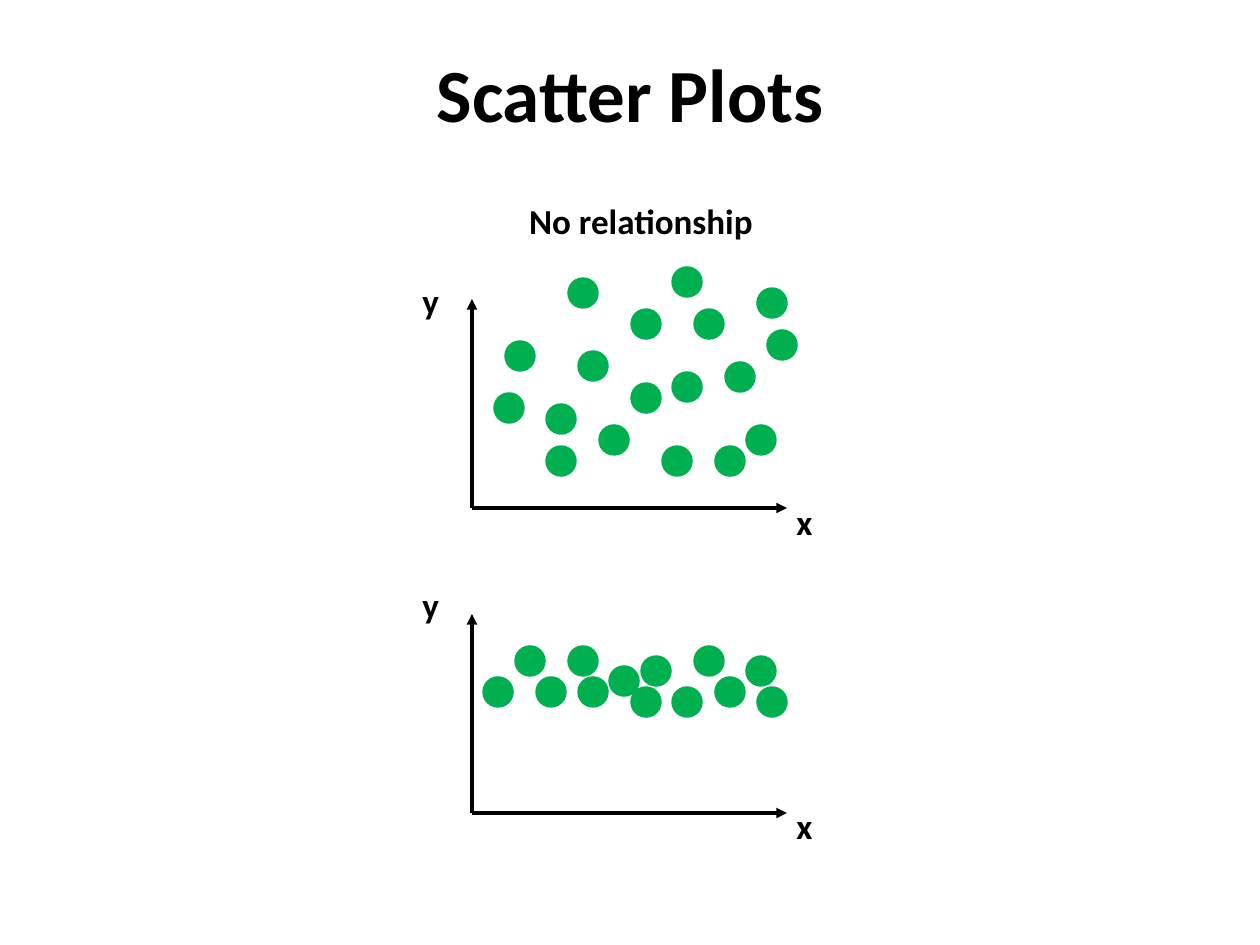
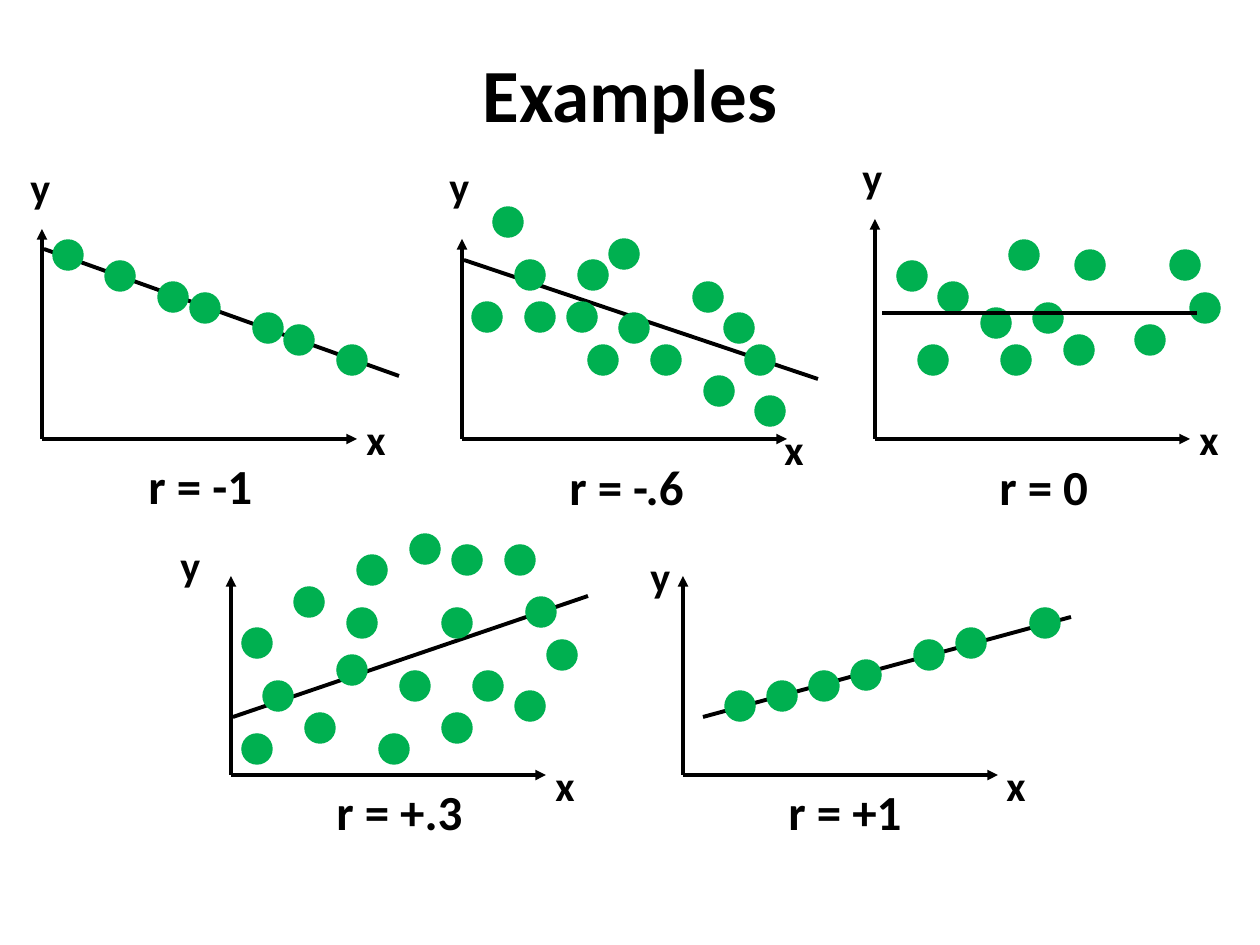
from dataclasses import dataclass

from lxml import etree
from pptx import Presentation
from pptx.dml.color import RGBColor
from pptx.enum import shapes, text
from pptx.oxml import ns
from pptx.util import Emu, Pt

PIXEL = 914400 / 126


@dataclass(frozen=True)
class Theme:
    font: str = "Calibri"
    ink: RGBColor = RGBColor(0, 0, 0)
    dot: RGBColor = RGBColor(0x00, 0xB0, 0x50)
    title_size: float = 42.9
    heading_size: float = 20
    caption_size: float = 28
    axis_width: float = 2
    trend_width: float = 2.25
    dot_size: float = 31.5


THEME = Theme()


@dataclass(frozen=True)
class Plot:
    """A scatter plot; everything is measured from the top left of its axes.

    The x label is measured from the right end of the x axis instead.
    """
    box: tuple
    dots: list
    y_label: tuple
    x_label: tuple
    label_size: float = 24
    trend: tuple = ()
    trend_width: float = THEME.trend_width
    trend_on_top: bool = False
    caption: str = ""
    caption_box: tuple = ()


def px(value):
    return Emu(round(value * PIXEL))


def style(paragraph, size):
    font = paragraph.font
    font.name, font.size, font.bold = THEME.font, Pt(size), True
    font.color.rgb = THEME.ink


def add_label(slide, words, box, size, centred=False):
    frame = slide.shapes.add_textbox(*map(px, box)).text_frame
    frame.word_wrap = centred
    paragraph = frame.paragraphs[0]
    paragraph.text = words
    if centred:
        paragraph.alignment = text.PP_ALIGN.CENTER
    style(paragraph, size)


def add_line(slide, start, end, width, arrow=False):
    line = slide.shapes.add_connector(
        shapes.MSO_CONNECTOR.STRAIGHT, *map(px, (*start, *end)))
    line.line.color.rgb = THEME.ink
    line.line.width = Pt(width)
    if arrow:
        etree.SubElement(line.line._get_or_add_ln(), ns.qn("a:tailEnd"), type="triangle")
    properties = line._element.spPr
    etree.SubElement(properties, ns.qn("a:effectLst"))


def add_dot(slide, x, y):
    size = THEME.dot_size
    dot = slide.shapes.add_shape(
        shapes.MSO_SHAPE.OVAL, px(x - size / 2), px(y - size / 2), px(size), px(size))
    dot.shadow.inherit = False
    dot.fill.solid()
    dot.fill.fore_color.rgb = THEME.dot
    dot.line.fill.background()


def add_plot(slide, plot):
    left, top, width, height = plot.box
    right, bottom = left + width, top + height

    def place(point):
        return left + point[0], top + point[1]

    def draw_trend():
        add_line(slide, place(plot.trend[:2]), place(plot.trend[2:]), plot.trend_width)

    # Axes
    add_line(slide, (left, bottom), (left, top), THEME.axis_width, arrow=True)
    add_line(slide, (left, bottom), (right, bottom), THEME.axis_width, arrow=True)

    # Points and trend line
    if plot.trend and not plot.trend_on_top:
        draw_trend()
    for dot in plot.dots:
        add_dot(slide, *place(dot))
    if plot.trend_on_top:
        draw_trend()

    # Labels
    label = (45, 54) if plot.label_size == THEME.heading_size else (49, 63)
    add_label(slide, "y", (*place(plot.y_label), *label), plot.label_size)
    x_place = right + plot.x_label[0], bottom + plot.x_label[1]
    add_label(slide, "x", (*x_place, *label), plot.label_size)
    if plot.caption:
        x, y, caption_width = plot.caption_box
        add_label(slide, plot.caption, (*place((x, y)), caption_width, 72),
                  THEME.caption_size)


def add_slide(presentation, title, plots):
    slide = presentation.slides.add_slide(presentation.slide_layouts[5])
    shape = slide.shapes.title
    shape.left, shape.top, shape.width, shape.height = map(px, (63, 38, 1134, 157))
    frame = shape.text_frame
    frame.auto_size = text.MSO_AUTO_SIZE.NONE
    frame.vertical_anchor = text.MSO_ANCHOR.TOP
    frame.margin_top = px(9)
    paragraph = frame.paragraphs[0]
    paragraph.text = title
    paragraph.alignment = text.PP_ALIGN.CENTER
    style(paragraph, THEME.title_size)
    for plot in plots:
        add_plot(slide, plot)
    return slide


NO_RELATIONSHIP = [
    Plot(
        box=(472, 299, 315, 209), label_size=THEME.heading_size,
        y_label=(-62, -26), x_label=(-3, -14),
        dots=[(215, -17), (37, 109), (289, 141), (310, 46), (89, 162), (111, -6),
              (215, 88), (237, 25), (300, 4), (174, 25), (89, 120), (121, 67),
              (258, 162), (174, 99), (142, 141), (48, 57), (205, 162), (268, 78)]),
    Plot(
        box=(472, 614, 315, 199), label_size=THEME.heading_size,
        y_label=(-62, -37), x_label=(-3, -15),
        dots=[(300, 88), (79, 78), (289, 57), (111, 47), (237, 47), (258, 78),
              (152, 67), (26, 78), (58, 47), (121, 78), (215, 88), (184, 57),
              (174, 88)]),
]

EXAMPLES = [
    Plot(
        box=(42, 229, 315, 210), y_label=(-24, -74), x_label=(-3, -32),
        trend=(2, 20, 357, 147), caption="r = -1", caption_box=(94, 220, 144),
        dots=[(310, 131), (226, 99), (163, 79), (26, 26), (78, 47), (131, 68),
              (257, 111)]),
    Plot(
        box=(462, 239, 325, 200), y_label=(-25, -85), x_label=(-15, -22),
        trend=(2, 21, 356, 140), caption="r = -.6", caption_box=(95, 211, 158),
        dots=[(308, 172), (298, 121), (46, -17), (68, 36), (257, 152), (25, 78),
              (204, 121), (131, 36), (162, 15), (277, 89), (78, 78), (246, 58),
              (120, 78), (172, 89), (141, 121)]),
    Plot(
        box=(875, 219, 315, 220), y_label=(-25, -74), x_label=(-3, -32),
        trend=(7, 94, 322, 94), trend_width=THEME.axis_width, trend_on_top=True,
        caption="r = 0", caption_box=(112, 231, 127),
        dots=[(58, 141), (310, 46), (330, 89), (204, 131), (215, 46), (149, 36),
              (37, 57), (78, 78), (121, 104), (173, 99), (141, 141), (275, 121)]),
    Plot(
        box=(231, 576, 315, 199), y_label=(-63, -43), x_label=(-3, -22),
        trend=(2, 141, 357, 20), caption="r = +.3", caption_box=(93, 199, 170),
        dots=[(26, 173), (47, 120), (289, -16), (310, 36), (89, 152), (331, 79),
              (226, 152), (236, -16), (141, -6), (26, 67), (78, 26), (121, 94),
              (257, 110), (184, 110), (163, 173), (299, 130), (226, 47),
              (194, -27), (131, 47)]),
    Plot(
        box=(683, 576, 315, 199), y_label=(-45, -32), x_label=(-4, -22),
        trend=(20, 141, 388, 41), caption="r = +1", caption_box=(93, 199, 156),
        dots=[(57, 130), (99, 120), (141, 110), (183, 99), (246, 79), (288, 67),
              (362, 47)]),
]

presentation = Presentation()
presentation.slide_width, presentation.slide_height = px(1260), px(945)

scatter_slide = add_slide(presentation, "Scatter Plots", NO_RELATIONSHIP)
add_label(scatter_slide, "No relationship", (494, 193, 294, 57),
          THEME.heading_size, centred=True)
add_slide(presentation, "Examples", EXAMPLES)

presentation.save("out.pptx")
